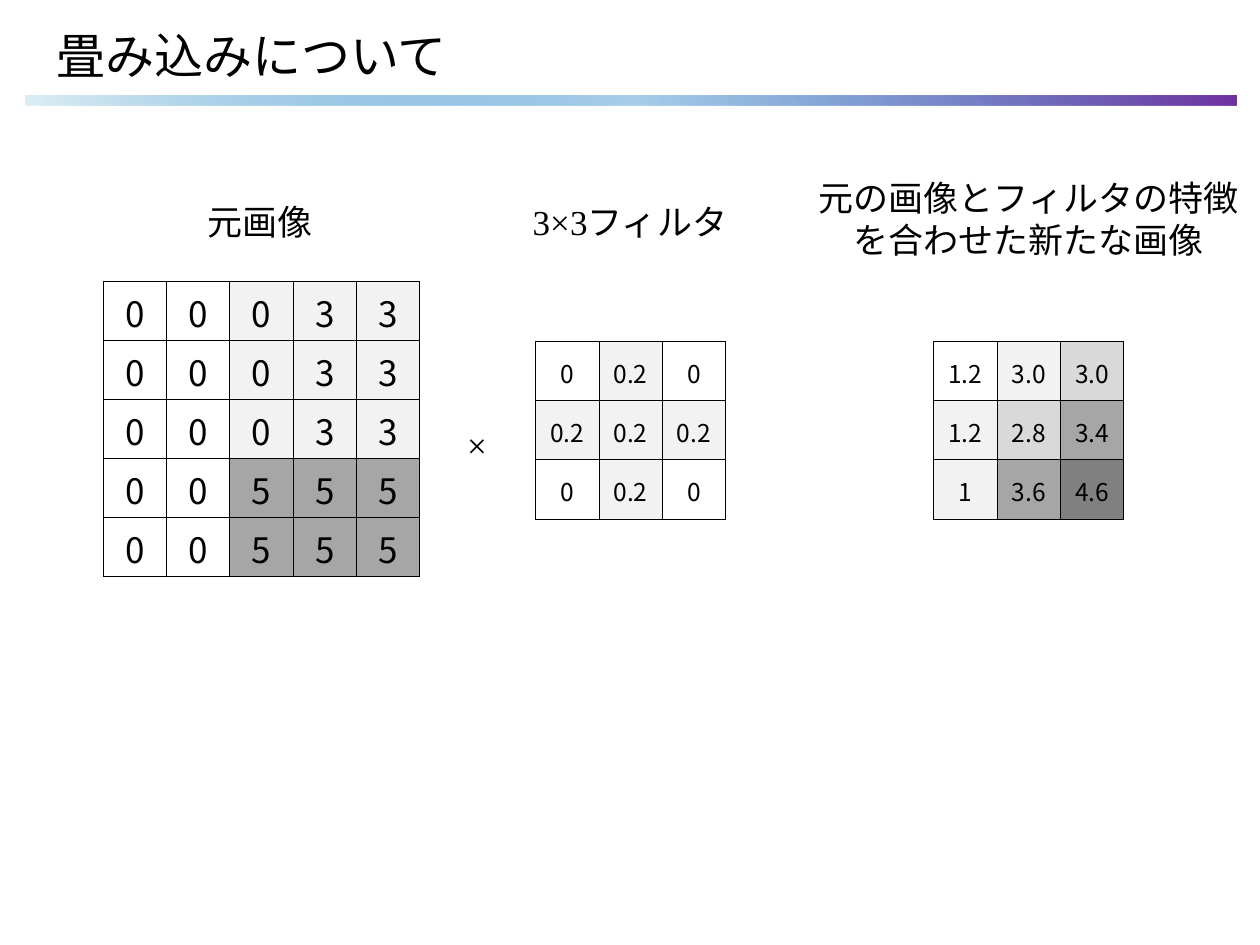
from lxml.etree import SubElement
from pptx import Presentation
from pptx.dml.color import RGBColor
from pptx.enum.shapes import MSO_SHAPE
from pptx.enum.text import MSO_ANCHOR, PP_ALIGN
from pptx.oxml import parse_xml
from pptx.oxml.ns import nsdecls, qn
from pptx.util import Inches, Pt

BLACK = RGBColor(0x00, 0x00, 0x00)
PALE_BLUE = RGBColor(0xDF, 0xF0, 0xF5)
BLUE = RGBColor(0x00, 0x70, 0xC0)
PURPLE = RGBColor(0x70, 0x30, 0xA0)
SHADES = {
    "1": RGBColor(0xF2, 0xF2, 0xF2),
    "2": RGBColor(0xD9, 0xD9, 0xD9),
    "3": RGBColor(0xA6, 0xA6, 0xA6),
    "4": RGBColor(0x80, 0x80, 0x80),
}
TEXT_FONT = "Times New Roman"
TABLE_FONT = "Noto Sans CJK JP"
CELL_FORMAT = {
    "margin_left": Inches(0.02),
    "margin_right": Inches(0.02),
    "margin_top": Inches(0.02),
    "margin_bottom": 0,
    "vertical_anchor": MSO_ANCHOR.MIDDLE,
}

SOURCE = (["0 0 0 3 3"] * 3 + ["0 0 5 5 5"] * 2, ["00111"] * 3 + ["00333"] * 2)
FILTER = (["0 0.2 0", "0.2 0.2 0.2", "0 0.2 0"], ["010", "111", "010"])
RESULT = (["1.2 3.0 3.0", "1.2 2.8 3.4", "1 3.6 4.6"], ["012", "123", "134"])


def apply_format(obj, values):
    for name, value in values.items():
        setattr(obj, name, value)


def write(p, text, size, font, align):
    p.alignment = align
    r = p.add_run()
    r.text = text
    apply_format(r.font, {"size": Pt(size), "name": font})
    r.font.color.rgb = BLACK


def add_text(s, box, lines, size=20, align=PP_ALIGN.LEFT, wrap=False,
             anchor=MSO_ANCHOR.TOP):
    tf = s.shapes.add_textbox(*map(Inches, box)).text_frame
    apply_format(tf, {"word_wrap": wrap, "vertical_anchor": anchor})
    for i, line in enumerate(lines):
        p = tf.add_paragraph() if i else tf.paragraphs[0]
        write(p, line, size, TEXT_FONT, align)


def add_gradient_bar(s, box, stops, angle):
    sp = s.shapes.add_shape(MSO_SHAPE.RECTANGLE, *map(Inches, box))
    sp.shadow.inherit = False
    sp.line.fill.background()
    grad = parse_xml(f'<a:gradFill {nsdecls("a")} rotWithShape="1"/>')
    stop_list = SubElement(grad, qn("a:gsLst"))
    for pos, color, alpha in stops:
        stop = SubElement(stop_list, qn("a:gs"), pos=str(pos * 1000))
        clr = SubElement(stop, qn("a:srgbClr"), val=str(color))
        if alpha < 100:
            SubElement(clr, qn("a:alpha"), val=str(alpha * 1000))
    SubElement(grad, qn("a:lin"), ang=str(angle * 60000), scaled="0")
    sp._element.spPr.find(qn("a:prstGeom")).addnext(grad)


def add_borders(cell):
    tc_pr = cell._tc.get_or_add_tcPr()
    for side in ("lnL", "lnR", "lnT", "lnB"):
        ln = SubElement(tc_pr, qn(f"a:{side}"), w=str(Pt(0.5)))
        fill = SubElement(ln, qn("a:solidFill"))
        SubElement(fill, qn("a:srgbClr"), val=str(BLACK))


def add_matrix(s, box, matrix, size):
    rows, shades = matrix
    n = len(rows)
    left, top, width, height = map(Inches, box)
    table = s.shapes.add_table(n, n, left, top, width, height).table
    apply_format(table, {"first_row": False, "horz_banding": False})
    for i, (row, codes) in enumerate(zip(rows, shades)):
        table.rows[i].height = height // n
        table.columns[i].width = width // n
        for j, (value, code) in enumerate(zip(row.split(), codes)):
            cell = table.cell(i, j)
            apply_format(cell, CELL_FORMAT)
            add_borders(cell)
            if code in SHADES:
                cell.fill.solid()
                cell.fill.fore_color.rgb = SHADES[code]
            else:
                cell.fill.background()
            write(cell.text_frame.paragraphs[0], value, size, TABLE_FONT,
                  PP_ALIGN.CENTER)


def main():
    prs = Presentation()
    apply_format(prs, {"slide_width": Inches(10), "slide_height": Inches(7.5)})
    s = prs.slides.add_slide(prs.slide_layouts[6])

    add_gradient_bar(s, (0.2, 0.76, 9.61, 0.08),
                     [(0, PALE_BLUE, 100), (50, BLUE, 34), (100, PURPLE, 100)], 315)
    add_text(s, (0.35, 0.13, 9.15, 0.61), ["畳み込みについて"], size=28,
             wrap=True, anchor=MSO_ANCHOR.MIDDLE)

    add_matrix(s, (0.82, 2.23, 2.51, 2.35), SOURCE, 20)
    add_text(s, (1.55, 1.54, 1.04, 0.44), ["元画像"])
    add_text(s, (4.13, 1.54, 1.74, 0.44), ["3×3フィルタ"], wrap=True)
    add_text(s, (3.61, 3.31, 0.34, 0.44), ["×"])
    add_matrix(s, (7.41, 2.71, 1.51, 1.41), RESULT, 14)
    add_text(s, (6.38, 1.35, 3.57, 0.77),
             ["元の画像とフィルタの特徴", "を合わせた新たな画像"], align=PP_ALIGN.CENTER)
    add_matrix(s, (4.25, 2.71, 1.51, 1.41), FILTER, 14)

    prs.save("out.pptx")


if __name__ == "__main__":
    main()
